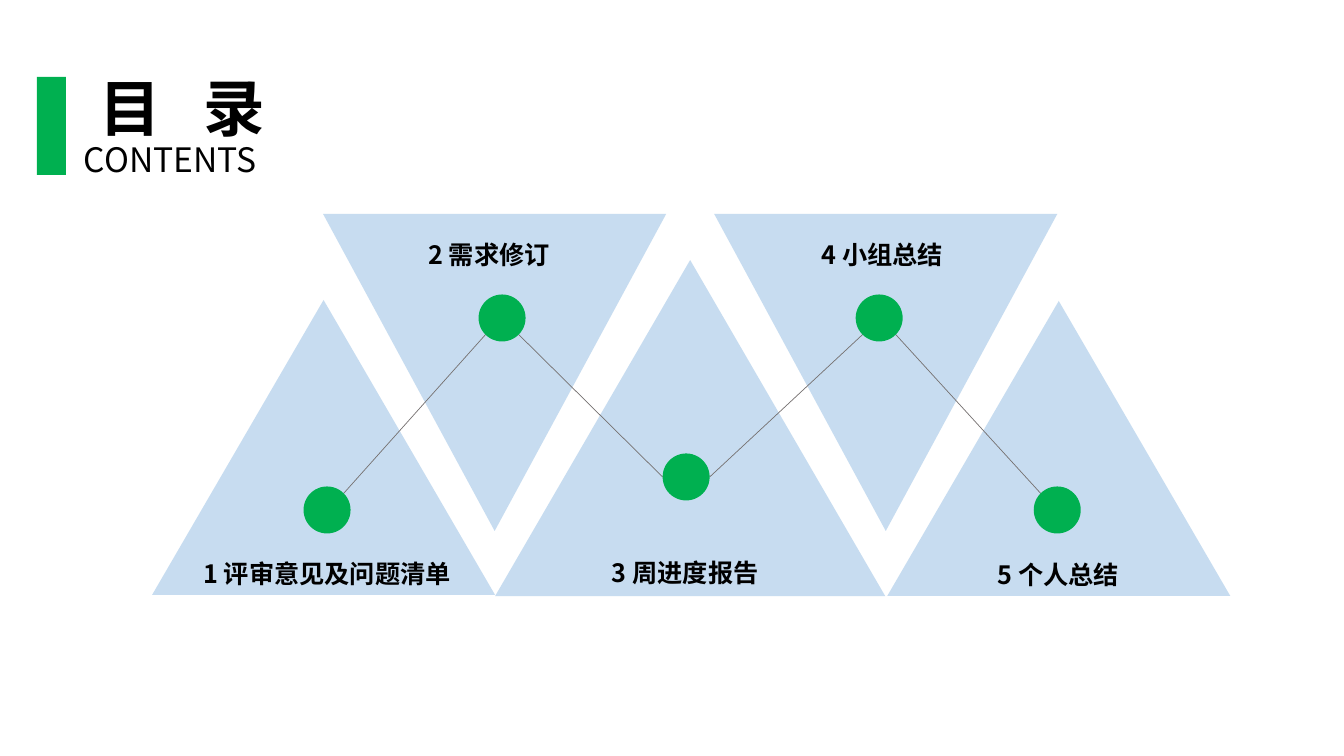
from dataclasses import dataclass
from itertools import pairwise

from lxml.etree import SubElement
from pptx import Presentation
from pptx.dml.color import RGBColor
from pptx.enum.shapes import MSO_CONNECTOR, MSO_SHAPE
from pptx.enum.text import MSO_ANCHOR, MSO_AUTO_SIZE, PP_ALIGN
from pptx.oxml.ns import qn
from pptx.util import Emu, Inches, Pt

FONT = "Noto Sans CJK SC"
GREEN, BLUE, GREY, BLACK = "00B050", "5B9BD5", "767171", "000000"
DOT = 47
LABEL_W, LABEL_H = 302, 40
DIAGONAL = 0.35  # offset of a circle's 45 degree point, in diameters


@dataclass(frozen=True)
class Step:
    """One agenda entry: its triangle, dot centre, label and line ends."""
    text: str
    triangle: tuple[int, int, int, int]
    points_up: bool
    dot: tuple[int, int]
    label: tuple[int, int]
    arrive: tuple[float, float]
    leave: tuple[float, float]


LOWER_LEFT, LOWER_RIGHT = (-DIAGONAL, DIAGONAL), (DIAGONAL, DIAGONAL)
UPPER_LEFT, UPPER_RIGHT = (-DIAGONAL, -DIAGONAL), (DIAGONAL, -DIAGONAL)
LEFT, RIGHT = (-0.5, 0), (0.5, 0)

STEPS = [
    Step("1 评审意见及问题清单", (152, 300, 343, 295), True, (327, 510), (176, 553),
         UPPER_LEFT, UPPER_RIGHT),
    Step("2 需求修订", (323, 214, 343, 317), False, (502, 318), (338, 234),
         LOWER_LEFT, LOWER_RIGHT),
    Step("3 周进度报告", (495, 260, 390, 336), True, (686, 477), (534, 552),
         LEFT, RIGHT),
    Step("4 小组总结", (714, 214, 343, 317), False, (879, 318), (731, 234),
         LOWER_LEFT, LOWER_RIGHT),
    Step("5 个人总结", (887, 301, 343, 295), True, (1057, 510), (907, 554),
         UPPER_LEFT, UPPER_RIGHT),
]


def px(value: float) -> Emu:
    """Turn pixels into EMU."""
    return Emu(round(value * 914400 / 100.8))


def color(value: str) -> RGBColor:
    """Turn a hex string into a colour."""
    return RGBColor.from_string(value)


def add_solid(s, kind, x, y, w, h, fill: str, alpha: int = 100):
    """Add a borderless preset shape, with opacity in percent."""
    sp = s.shapes.add_shape(kind, px(x), px(y), px(w), px(h))
    sp.shadow.inherit = False
    sp.line.fill.background()
    sp.fill.solid()
    sp.fill.fore_color.rgb = color(fill)
    if alpha < 100:
        clr = sp._element.spPr.find(qn("a:solidFill"))[0]
        SubElement(clr, qn("a:alpha"), val=str(alpha * 1000))
    return sp


def set_text(sp, text: str, *, size: int, bold: bool = False,
             align=PP_ALIGN.CENTER, spacing: int = 0) -> None:
    """Write one formatted line; spacing is between letters, in points."""
    tf = sp.text_frame
    tf.word_wrap = True
    tf.auto_size = MSO_AUTO_SIZE.NONE
    tf.vertical_anchor = MSO_ANCHOR.TOP
    p = tf.paragraphs[0]
    p.alignment = align
    r = p.add_run()
    r.text = text
    r.font.name, r.font.size, r.font.bold = FONT, Pt(size), bold
    r.font.color.rgb = color(BLACK)
    rPr = r.font._element
    SubElement(rPr, qn("a:ea"), typeface=FONT)
    if spacing:
        rPr.set("spc", str(spacing * 100))


def add_text(s, text: str, x, y, w, h, **fmt) -> None:
    """Add a text box with one formatted line."""
    set_text(s.shapes.add_textbox(px(x), px(y), px(w), px(h)), text, **fmt)


def add_link(s, start: Step, end: Step) -> None:
    """Join the dots of two steps with a thin line."""
    ends = [px(centre + DOT * offset)
            for step, side in ((start, start.leave), (end, end.arrive))
            for centre, offset in zip(step.dot, side)]
    line = s.shapes.add_connector(MSO_CONNECTOR.STRAIGHT, *ends)
    line.line.color.rgb = color(GREY)
    line.line.width = Pt(0.5)
    SubElement(line._element.spPr, qn("a:effectLst"))


def add_heading(s) -> None:
    """Place the title, its subtitle and the green bar."""
    add_solid(s, MSO_SHAPE.RECTANGLE, 37, 77, 29, 98, GREEN)
    title = s.shapes.title
    title.left, title.top, title.width, title.height = map(px, (73, 65, 219, 85))
    set_text(title, "目 录", size=44, bold=True, spacing=10)
    add_text(s, "CONTENTS", 74, 134, 200, 50, size=24, align=PP_ALIGN.LEFT)


def main() -> None:
    """Build the contents slide."""
    prs = Presentation()
    prs.slide_width, prs.slide_height = Inches(13.33), Inches(7.5)
    s = prs.slides.add_slide(prs.slide_layouts[5])
    for step in STEPS:
        sp = add_solid(s, MSO_SHAPE.ISOSCELES_TRIANGLE, *step.triangle, BLUE, alpha=34)
        sp.rotation = 0 if step.points_up else 180
    add_heading(s)
    for start, end in pairwise(STEPS):
        add_link(s, start, end)
    for step in STEPS:
        x, y = step.dot
        add_solid(s, MSO_SHAPE.OVAL, x - DOT / 2, y - DOT / 2, DOT, DOT, GREEN)
        add_text(s, step.text, *step.label, LABEL_W, LABEL_H, size=18, bold=True)
    prs.save("out.pptx")


main()
